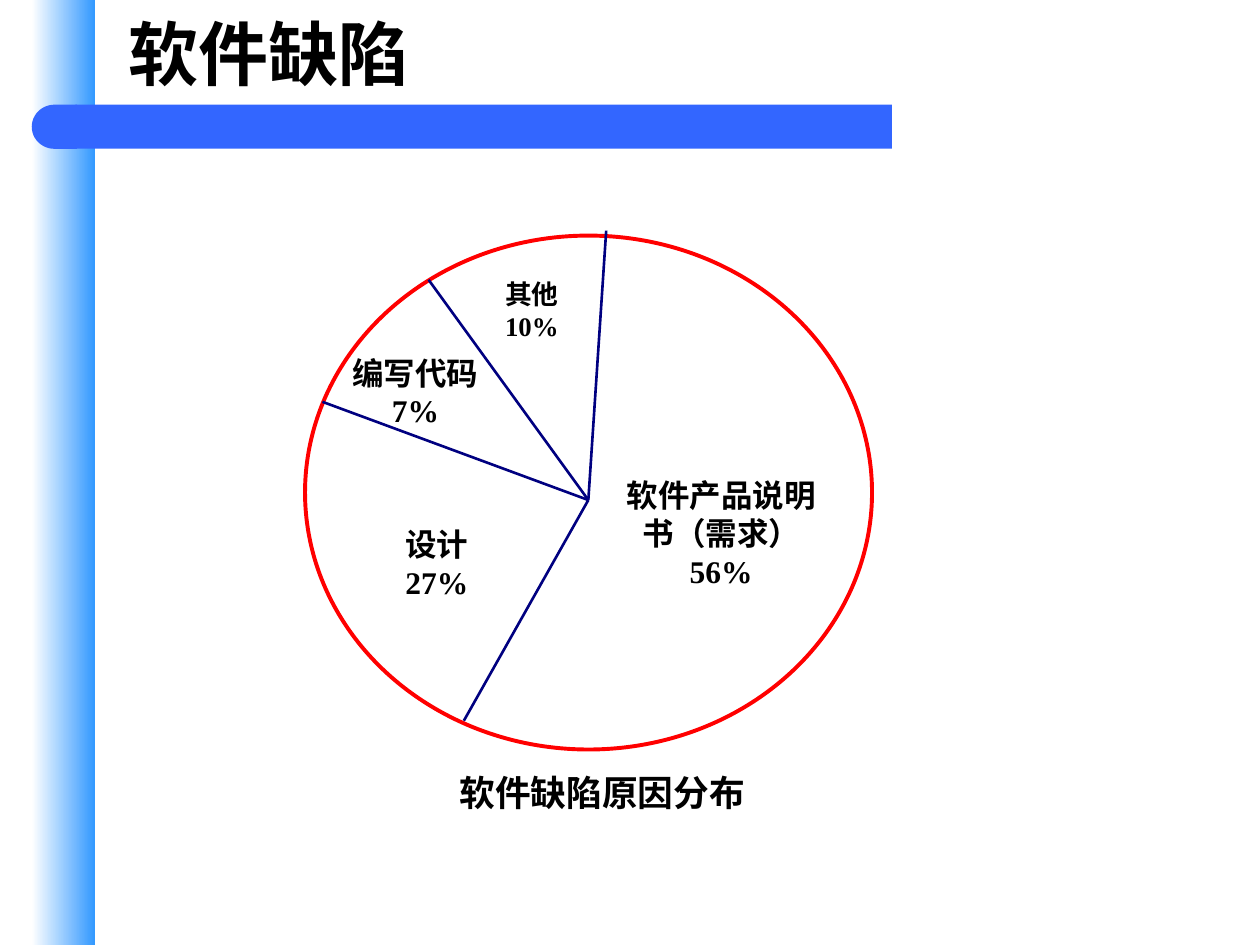
from lxml import etree
from pptx import Presentation
from pptx.dml.color import RGBColor
from pptx.enum.shapes import MSO_CONNECTOR, MSO_SHAPE
from pptx.enum.text import MSO_ANCHOR, PP_ALIGN
from pptx.oxml.ns import qn
from pptx.util import Cm, Pt

STRAIGHT = MSO_CONNECTOR.STRAIGHT
RECTANGLE, DELAY, OVAL = MSO_SHAPE.RECTANGLE, MSO_SHAPE.FLOWCHART_DELAY, MSO_SHAPE.OVAL
MIDDLE, TOP = MSO_ANCHOR.MIDDLE, MSO_ANCHOR.TOP
LEFT, CENTER = PP_ALIGN.LEFT, PP_ALIGN.CENTER
TITLE_ONLY = 5

COLORS = {
    "white": "FFFFFF",
    "text": "000000",
    "band": "3399FF",
    "bar": "3366FF",
    "pie": "FF0000",
    "divider": "000080",
}


class SlideBuilder:
    font_name = "Times New Roman"

    def __init__(self, slide):
        self.slide = slide

    def color(self, key):
        return RGBColor.from_string(COLORS[key])

    def style_text(self, frame, text, size, align, anchor):
        frame.word_wrap = True
        frame.vertical_anchor = anchor
        frame.text = text
        for paragraph in frame.paragraphs:
            paragraph.alignment = align
            for run in paragraph.runs:
                run.font.name = self.font_name
                run.font.size = Pt(size)
                run.font.bold = True
                run.font.color.rgb = self.color("text")

    def title(self, text, left, top, width, height):
        title = self.slide.shapes.title
        title.left, title.top = Cm(left), Cm(top)
        title.width, title.height = Cm(width), Cm(height)
        self.style_text(title.text_frame, text, 40, LEFT, MIDDLE)

    def shape(self, kind, left, top, width, height, fill, outline=None):
        shape = self.slide.shapes.add_shape(kind, Cm(left), Cm(top), Cm(width), Cm(height))
        shape.shadow.inherit = False
        shape.fill.solid()
        shape.fill.fore_color.rgb = self.color(fill)
        if outline:
            shape.line.color.rgb = self.color(outline)
            shape.line.width = Pt(2.25)
        else:
            shape.line.fill.background()
        return shape

    def gradient_band(self, left, top, width, height, start, end):
        band = self.shape(RECTANGLE, left, top, width, height, end)
        band.fill.gradient()
        band.fill.gradient_angle = 0
        for stop, key in zip(band.fill.gradient_stops, (start, end)):
            stop.color.rgb = self.color(key)

    def divider(self, start, end):
        line = self.slide.shapes.add_connector(STRAIGHT, *map(Cm, start + end))
        line.line.color.rgb = self.color("divider")
        line.line.width = Pt(1.5)
        etree.SubElement(line._element.spPr, qn("a:effectLst"))

    def label(self, text, left, top, width, height, size):
        box = self.slide.shapes.add_textbox(Cm(left), Cm(top), Cm(width), Cm(height))
        frame = box.text_frame
        frame.margin_left = frame.margin_right = 0
        frame.margin_top = frame.margin_bottom = 0
        self.style_text(frame, text, size, CENTER, TOP)


def main():
    presentation = Presentation()
    presentation.slide_width, presentation.slide_height = Cm(25.4), Cm(19.05)
    slide = presentation.slides.add_slide(presentation.slide_layouts[TITLE_ONLY])
    builder = SlideBuilder(slide)

    builder.gradient_band(0.64, 0, 1.27, 19.05, "white", "band")
    builder.shape(RECTANGLE, 1.52, 2.11, 16.46, 0.89, "bar")
    bar_cap = builder.shape(DELAY, 0.64, 2.11, 0.91, 0.89, "bar")
    bar_cap.rotation = 180
    builder.title("软件缺陷", 2.34, 0, 22.02, 2.11)

    builder.shape(OVAL, 6.15, 4.75, 11.43, 10.36, "white", "pie")
    pie_center = (11.86, 10.08)
    for rim_point in ((12.22, 4.65), (9.35, 14.53), (6.5, 8.1), (8.64, 5.64)):
        builder.divider(pie_center, rim_point)

    causes = (
        ("其他\n10%", 9.53, 5.6, 2.39, 1.4, 15.3),
        ("软件产品说明书（需求）\n56%", 12.57, 9.6, 3.94, 3.45, 18),
        ("编写代码\n7%", 6.76, 7.13, 3.23, 1.68, 18),
        ("设计27%", 7.92, 10.59, 1.78, 1.98, 18),
    )
    for cause in causes:
        builder.label(*cause)
    builder.label("软件缺陷原因分布", 8.64, 15.54, 7, 1, 20.4)

    presentation.save("out.pptx")


if __name__ == "__main__":
    main()
